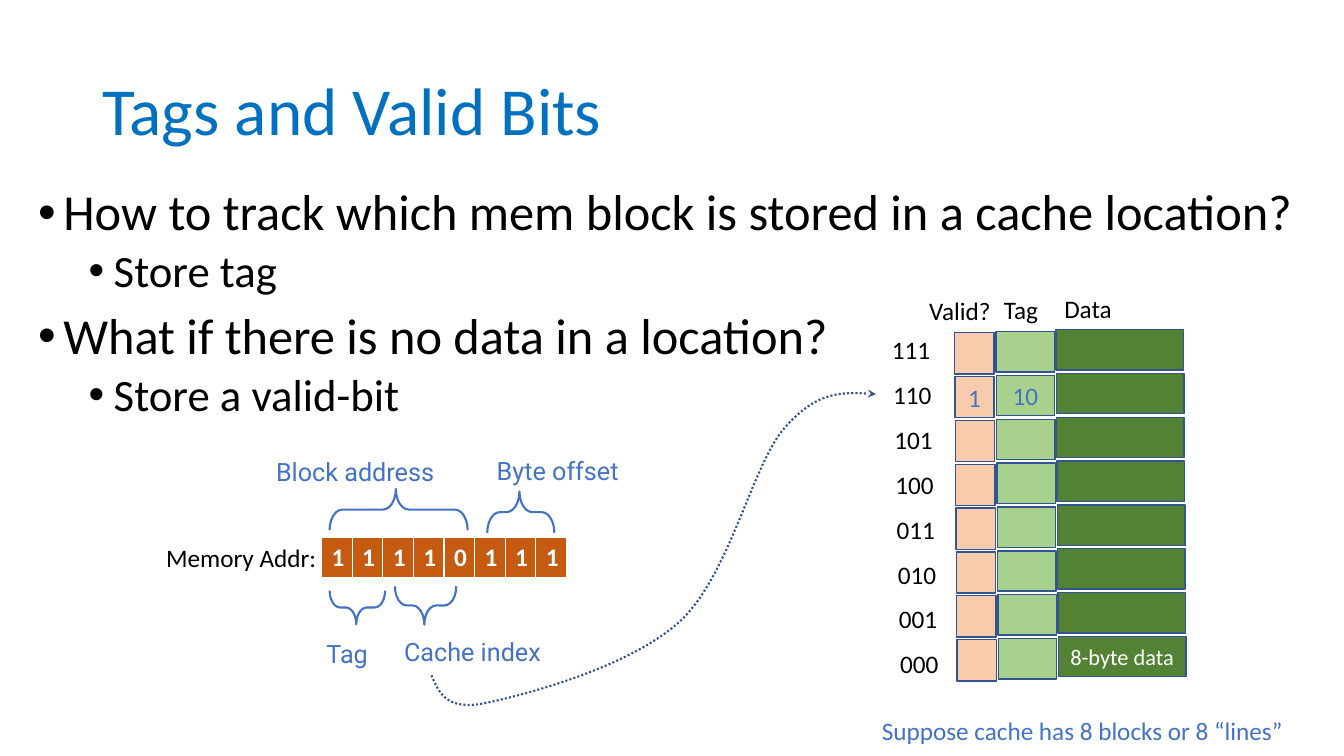
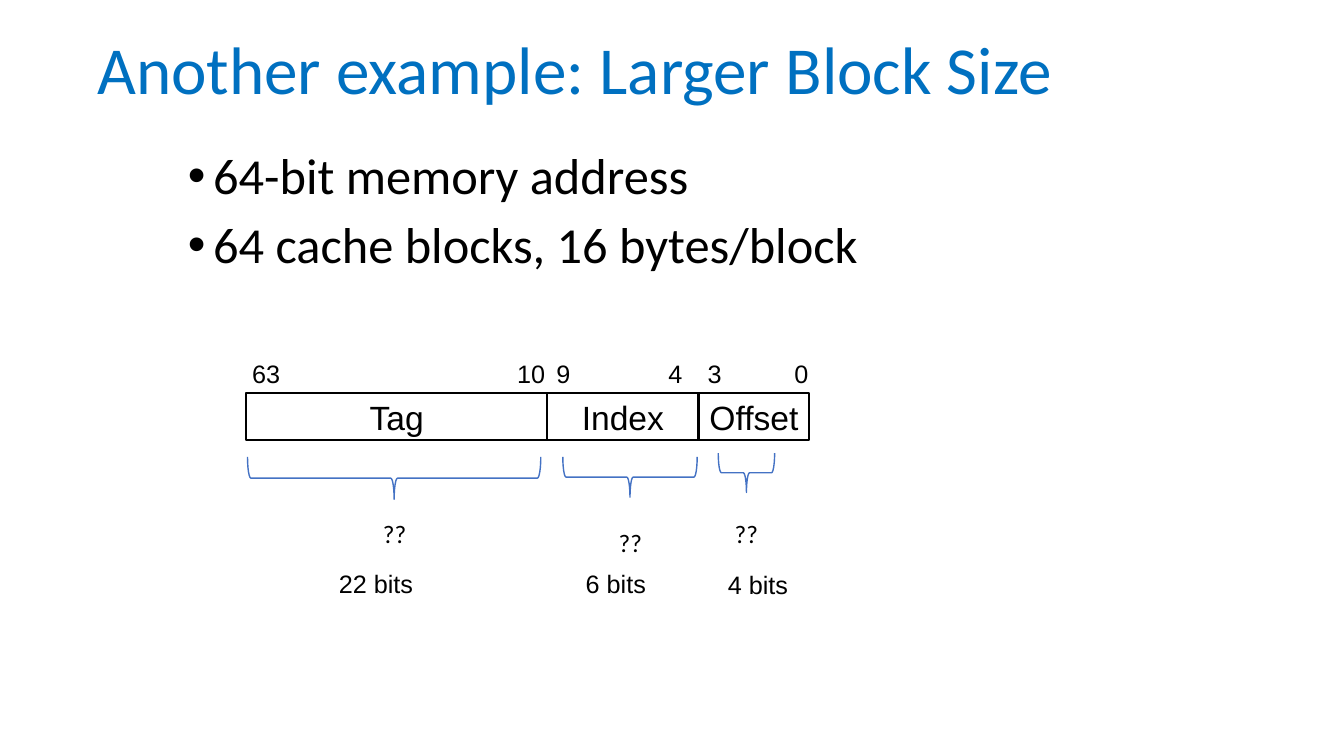
from lxml.etree import SubElement as Sub
from pptx import Presentation
from pptx.dml.color import RGBColor as RGB
from pptx.enum.dml import MSO_LINE as Dash
from pptx.enum.shapes import MSO_SHAPE as Kind
from pptx.enum.text import MSO_ANCHOR as Anchor, MSO_AUTO_SIZE as Fit, PP_ALIGN as Align
from pptx.oxml.ns import qn
from pptx.util import Inches, Pt

# Shared look: a grid of 80 x 45 square cells covers the slide
COLS, ROWS = 80, 45
CELL = Inches(7.5) // ROWS
LINE = 2.4  # rows taken by one line of label text
INK = {
    "title": "0070C0", "text": "000000", "white": "FFFFFF", "blue": "4472C4",
    "edge": "325491", "bits": "C55A11", "data": "548235", "tag": "A9D18E",
    "valid": "F8CBAD",
}
LEVELS = [(36, 0.25, 10), (32, 0.75, 5)]  # size, indent, space before


def color(name):
    return RGB.from_string(INK[name])


def grid(*cells):
    return [round(n * CELL) for n in cells]


def write(par, text, size, ink="text", face="Calibri", bold=False):
    run = par.add_run()
    run.text = text
    font = run.font
    font.size, font.name, font.bold = Pt(size), face, bold
    font.color.rgb = color(ink)


def outline(shape, ink, width):
    shape.shadow.inherit = False
    shape.line.color.rgb = color(ink)
    shape.line.width = Pt(width)


def frame(slide, x, y, w, h):
    body = slide.shapes.add_textbox(*grid(x, y, w, h)).text_frame
    body.word_wrap = True
    return body


def title(slide, x, y, text):
    body = frame(slide, x, y, 69, 8.7)
    body.vertical_anchor = Anchor.MIDDLE
    par = body.paragraphs[0]
    par.line_spacing = 0.9
    write(par, text, 48, "title")


def bullets(slide, x, y, w, h, items):
    body = frame(slide, x, y, w, h)
    for i, (level, text) in enumerate(items):
        size, left, gap = LEVELS[level]
        par = body.add_paragraph() if i else body.paragraphs[0]
        props = par._p.get_or_add_pPr()
        props.set("marL", str(Inches(left)))
        props.set("indent", str(-Inches(0.25)))
        Sub(props, qn("a:buFont")).set("typeface", "Arial")
        Sub(props, qn("a:buChar")).set("char", "•")
        par.level, par.line_spacing = level, 0.9
        par.space_before = Pt(gap if i else 0)
        write(par, text, size)


def label(slide, x, y, w, text, ink="text", face="Calibri", align=Align.LEFT):
    body = frame(slide, x, y, w, LINE)
    body.word_wrap = False
    body.auto_size = Fit.SHAPE_TO_FIT_TEXT
    par = body.paragraphs[0]
    par.alignment = align
    write(par, text, 18, ink, face)


def box(slide, x, y, w, h, fill=None, edge="edge", width=1):
    shape = slide.shapes.add_shape(Kind.RECTANGLE, *grid(x, y, w, h))
    outline(shape, edge, width)
    if fill:
        shape.fill.solid()
        shape.fill.fore_color.rgb = color(fill)
    else:
        shape.fill.background()
    return shape


def caption(shape, text, size, ink, face="Calibri"):
    body = shape.text_frame
    body.word_wrap = False
    body.vertical_anchor = Anchor.MIDDLE
    par = body.paragraphs[0]
    par.alignment = Align.CENTER
    write(par, text, size, ink, face)


def brace(slide, x, y, w, h, up=False, curl=0.08, tip=0.5, width=1.5):
    # The preset stands upright, so its box is turned about the same centre
    turn = (w - h) / 2
    shape = slide.shapes.add_shape(Kind.RIGHT_BRACE, *grid(x + turn, y - turn, h, w))
    shape.rotation = 270 if up else 90
    shape.adjustments[0], shape.adjustments[1] = curl, tip
    shape.fill.background()
    outline(shape, "blue", width)


def bit_row(slide, x, y, w, h, bits):
    table = slide.shapes.add_table(1, len(bits), *grid(x, y, w, h)).table
    for cell, bit in zip(table.iter_cells(), bits):
        props = cell._tc.get_or_add_tcPr()
        for side, width in zip("LRTB", (1, 1, 1, 3)):
            edge = Sub(props, qn("a:ln" + side), w=str(Pt(width)))
            fill = Sub(edge, qn("a:solidFill"))
            Sub(fill, qn("a:srgbClr"), val=INK["white"])
        cell.fill.solid()
        cell.fill.fore_color.rgb = color("bits")
        write(cell.text_frame.paragraphs[0], bit, 18, "white", bold=True)


def curve(slide, start, points):
    # Each three points are two handles and an end
    form = slide.shapes.build_freeform(*grid(*start))
    form.add_line_segments([grid(*p) for p in points], close=False)
    shape = form.convert_to_shape()
    lines = list(shape._element.iter(qn("a:lnTo")))
    for i in range(0, len(lines), 3):
        lines[i].addprevious(bend := lines[i].makeelement(qn("a:cubicBezTo")))
        for line in lines[i:i + 3]:
            bend.append(line[0])
            line.getparent().remove(line)
    shape.fill.background()
    outline(shape, "edge", 1.5)
    shape.line.dash_style = Dash.ROUND_DOT
    Sub(shape.line._get_or_add_ln(), qn("a:tailEnd"), type="stealth")


def cache(slide):
    heads = [("Valid?", 54.72, 4.92), ("Tag", 59.16, 3.3), ("Data", 62.76, 4.08)]
    for i, (text, x, w) in enumerate(heads):
        label(slide, x, 17.28 - 0.06 * i, w, text)
    # Fill, left, top, width, height of each column's first cell
    parts = [("data", 62.85, 19.62, 7.6, 2.4), ("tag", 59.28, 19.74, 3.48, 2.4),
             ("valid", 56.82, 19.8, 2.34, 2.46)]
    marks = {(1, "valid"): ("1", 18, "blue"), (1, "tag"): ("10", 18, "blue"),
             (7, "data"): ("8-byte data", 16, "white")}
    for fill, x, y, w, h in parts:
        for row in range(8):
            cell = box(slide, x + 0.02 * row, y + 2.61 * row, w, h, fill)
            if (row, fill) in marks:
                caption(cell, *marks[row, fill])
    for row in range(8):
        label(slide, 52.5 + 0.07 * row, 19.62 + 2.67 * row, 3.54, f"{7 - row:03b}")


def tags(slide):
    title(slide, 5.5, 2.4, "Tags and Valid Bits")
    bullets(slide, 1.68, 10.86, 78.3, 28.5, [
        (0, "How to track which mem block is stored in a cache location?"),
        (1, "Store tag"),
        (0, "What if there is no data in a location?"),
        (1, "Store a valid-bit"),
    ])
    # Address bits and their parts
    label(slide, 9.3, 31.98, 10.26, "Memory Addr:")
    bit_row(slide, 19.14, 31.98, 14.58, 2.46, "11110111")
    for x, y, w, h, up in [(29, 29.25, 4, 2.46, True), (19.62, 29.1, 8.22, 2.46, True),
                           (23.5, 34.9, 3.66, 2.28, False), (19.62, 35.16, 3.3, 2, False)]:
        brace(slide, x, y, w, h, up, 0.31, 0.48 if up else 0.52)
    for x, y, w, text in [(28.98, 26.82, 9.42, "Byte offset"),
                          (15.84, 26.88, 11.58, "Block address"),
                          (23.46, 37.56, 10.26, "Cache index"), (18.84, 37.68, 3.96, "Tag")]:
        label(slide, x, y, w, text, "blue", "Roboto")
    # Cache and the arrow from the index to its line
    cache(slide)
    curve(slide, (25.68, 40.2), [
        (26.16, 41.28), (26.58, 42.36), (29.04, 41.82),
        (31.56, 41.28), (37.56, 39.66), (40.5, 36.96),
        (43.44, 34.2), (44.76, 27.72), (46.68, 25.5),
        (48.6, 23.28), (50.4, 23.34), (52.14, 23.46),
    ])
    label(slide, 51.9, 42.3, 25.32, "Suppose cache has 8 blocks or 8 “lines”", "blue")


def blocks(slide):
    title(slide, 5.2, 0, "Another example: Larger Block Size")
    bullets(slide, 10.6, 8.7, 60.3, 18.5, [
        (0, "64-bit memory address"),
        (0, "64 cache blocks, 16 bytes/block"),
    ])
    # Address fields
    left = 14.64
    for text, w in [("Tag", 17.94), ("Index", 9), ("Offset", 6.6)]:
        caption(box(slide, left, 23.4, w, 2.82, None, "text", 1.5), text, 24, "text", "Arial")
        left += w
    # Bit numbers above, bit counts below
    for x, y, w, text in [
        (14.4, 21.06, 2.88, "63"), (30.18, 21.06, 2.88, "10"), (32.52, 21.06, 2.04, "9"),
        (39.18, 21.06, 2.04, "4"), (41.52, 21.06, 2.04, "3"), (46.68, 21.06, 2.04, "0"),
        (19.56, 33.54, 5.64, "22 bits"), (34.26, 33.54, 4.8, "6 bits"),
        (42.72, 33.6, 4.8, "4 bits"),
    ]:
        label(slide, x, y, w, text, face="Arial", align=Align.CENTER)
    for x, y, w, h in [(14.73, 27.2, 17.46, 2.52), (33.5, 27.2, 8, 2.4),
                       (42.75, 26.97, 3.36, 2.34)]:
        brace(slide, x, y, w, h, width=1)
    for x, y in [(22.2, 30.54), (36.24, 31.08), (43.14, 30.54)]:
        label(slide, x, y, 2.64, "??")


def main():
    deck = Presentation()
    deck.slide_width, deck.slide_height = grid(COLS, ROWS)
    for draw in (tags, blocks):
        draw(deck.slides.add_slide(deck.slide_layouts[6]))
    deck.save("out.pptx")


if __name__ == "__main__":
    main()
